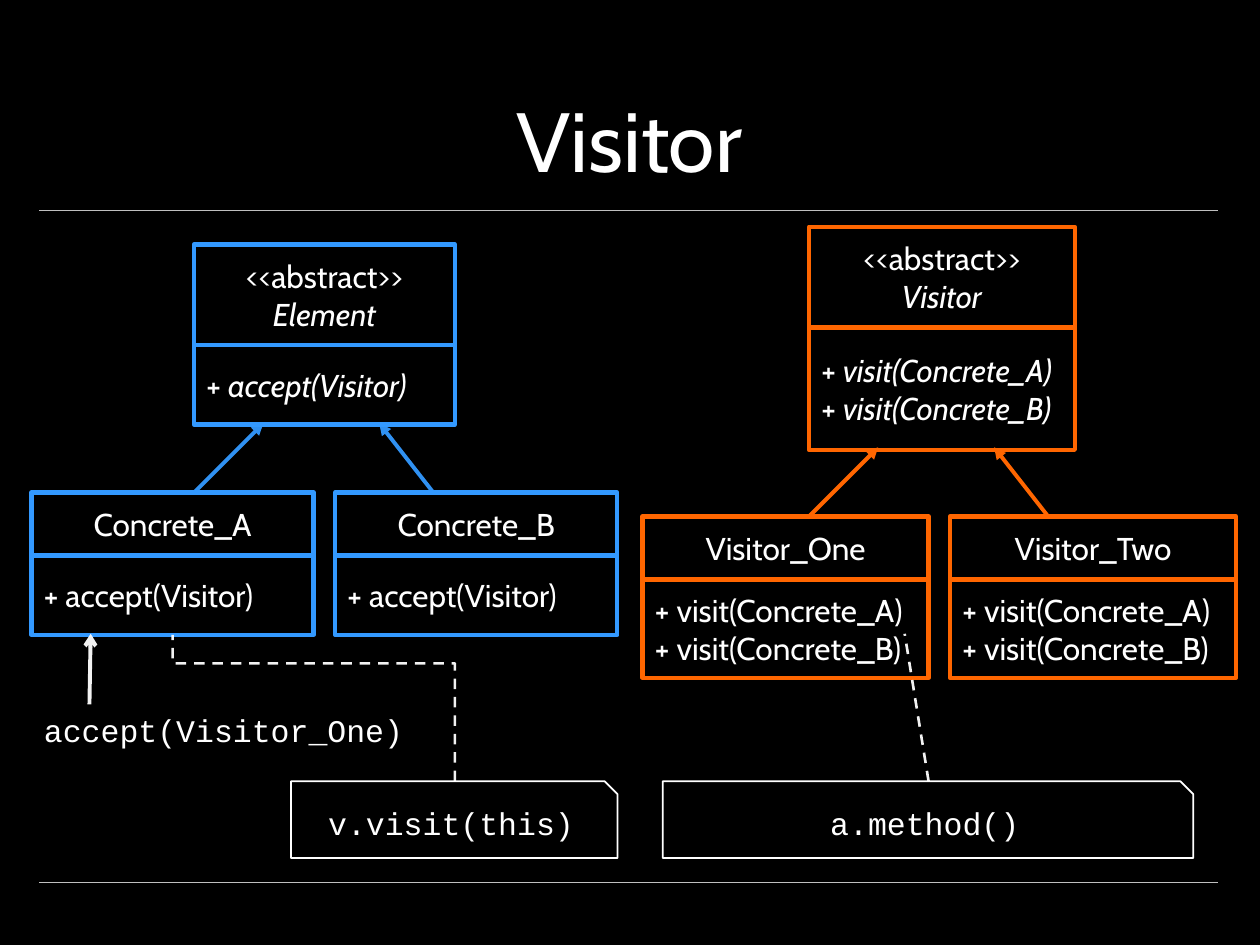
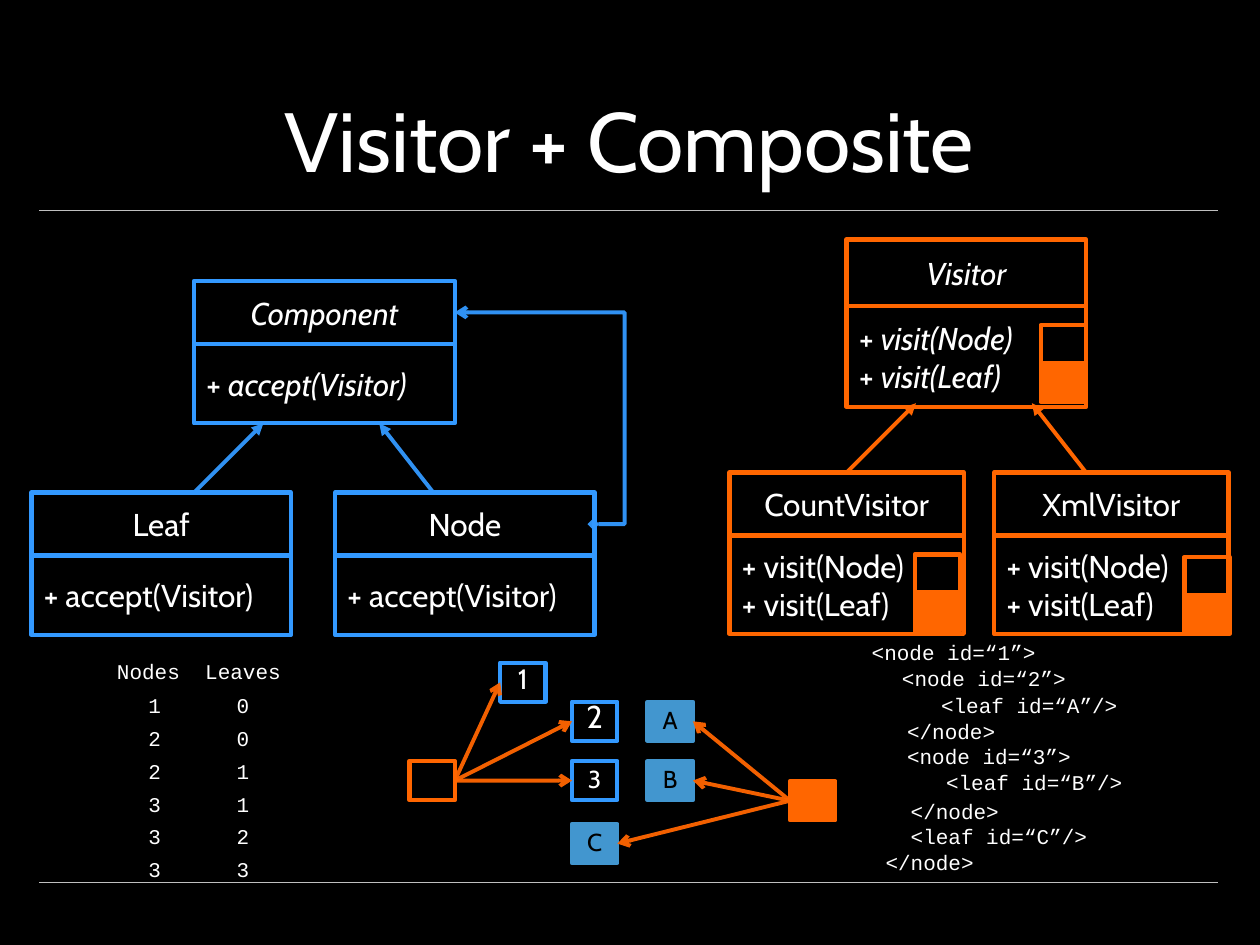
from dataclasses import dataclass

from lxml.etree import SubElement
from pptx import Presentation
from pptx.dml.color import RGBColor
from pptx.enum.dml import MSO_LINE
from pptx.enum.shapes import MSO_CONNECTOR, MSO_SHAPE
from pptx.enum.text import MSO_ANCHOR, MSO_AUTO_SIZE, PP_ALIGN
from pptx.oxml.ns import qn
from pptx.shapes.autoshape import Shape
from pptx.shapes.connector import Connector
from pptx.slide import Slide
from pptx.text.text import TextFrame
from pptx.util import Pt

SCALE = 9144  # EMU in one px, 100 px to the inch
BLACK, WHITE, GREY = "000000", "FFFFFF", "BFBFBF"
BLUE, ORANGE, SKY = "3399FF", "FF6600", "4296CF"
SANS, MONO = "Cabin", "Courier New"
LEFT, TOP, RIGHT = 1, 0, 3
CELL_W, CELL_H, CELL_GAP = 36, 31, 30
TAB = 70


@dataclass(frozen=True)
class Card:
    """A class box: a head above a list of methods."""
    x: int
    y: int
    w: int
    head: str
    body: list[str]
    head_h: int
    body_h: int
    color: str


@dataclass(frozen=True)
class Cell:
    x: int
    y: int
    color: str
    text: str = ""
    size: int = 14
    full: bool = False


@dataclass(frozen=True)
class Code:
    x: int
    y: int
    w: int
    h: int
    lines: list[str]


def px(*sizes: int) -> list[int]:
    return [size * SCALE for size in sizes]


def rgb(color: str) -> RGBColor:
    return RGBColor.from_string(color)


def write(frame: TextFrame, lines: list[str], size: int, font: str = SANS,
          color: str = WHITE, align: PP_ALIGN = PP_ALIGN.LEFT) -> None:
    """Fill a frame; a * starts italics and a vertical tab breaks the line."""
    for i, line in enumerate(lines):
        para = frame.add_paragraph() if i else frame.paragraphs[0]
        para.alignment = align
        if "\t" in line:
            tabs = SubElement(para._p.get_or_add_pPr(), qn("a:tabLst"))
            SubElement(tabs, qn("a:tab"), pos=str(TAB * SCALE), algn="l")
        para.font.size, para.font.name = Pt(size), font
        para.font.color.rgb = rgb(color)
        for style, part in enumerate(line.split("*")):
            for row, text in enumerate(part.split("\v")):
                if row:
                    para.add_line_break()
                if text:
                    run = para.add_run()
                    run.text = text
                    if style:
                        run.font.italic = True


def draw_shape(slide: Slide, x: int, y: int, w: int, h: int, color: str,
               width: float = 2.5, kind: MSO_SHAPE = MSO_SHAPE.RECTANGLE,
               fill: str = "") -> Shape:
    shape = slide.shapes.add_shape(kind, *px(x, y, w, h))
    shape.shadow.inherit = False
    if fill:
        shape.fill.solid()
        shape.fill.fore_color.rgb = rgb(fill)
    else:
        shape.fill.background()
    shape.line.color.rgb = rgb(color)
    shape.line.width = Pt(width)
    shape.text_frame.word_wrap = True
    shape.text_frame.vertical_anchor = MSO_ANCHOR.MIDDLE
    return shape


def draw_line(slide: Slide, start: tuple[int, int], end: tuple[int, int],
              color: str, width: float = 2.25, head: str = "", tail: str = "",
              dash: bool = False, alpha: int = 95, bend: int = 0) -> Connector:
    """Draw a line; a bend, in thousandths of the width, makes an elbow."""
    kind = MSO_CONNECTOR.ELBOW if bend else MSO_CONNECTOR.STRAIGHT
    line = slide.shapes.add_connector(kind, *px(*start, *end))
    line.line.color.rgb = rgb(color)
    line.line.width = Pt(width)
    if dash:
        line.line.dash_style = MSO_LINE.DASH
    props = line._element.spPr
    if alpha < 100:
        tint = props.find(".//" + qn("a:srgbClr"))
        SubElement(tint, qn("a:alpha"), val=str(alpha * 1000))
    for tag, tip in (("a:headEnd", head), ("a:tailEnd", tail)):
        if tip:
            SubElement(props.find(qn("a:ln")), qn(tag), type=tip)
    if bend:
        SubElement(props.find(".//" + qn("a:avLst")), qn("a:gd"),
                   name="adj1", fmla=f"val {bend * 100}")
    SubElement(props, qn("a:effectLst"))
    return line


def draw_card(slide: Slide, card: Card) -> None:
    head = draw_shape(slide, card.x, card.y, card.w, card.head_h, card.color)
    write(head.text_frame, [card.head], 18, align=PP_ALIGN.CENTER)
    body = draw_shape(slide, card.x, card.y + card.head_h, card.w,
                      card.body_h, card.color)
    write(body.text_frame, card.body, 18)


def draw_heirs(slide: Slide, x: int, y: int, color: str, alpha: int = 95) -> None:
    """Draw the two arrows from subclasses up to their parent."""
    for start, end in ((0, 55), (190, 147)):
        draw_line(slide, (x + start, y), (x + end, y - 55), color,
                  tail="triangle", alpha=alpha)


def draw_cell(slide: Slide, cell: Cell) -> Shape:
    shape = draw_shape(slide, cell.x, cell.y, CELL_W, CELL_H, cell.color,
                       fill=cell.color if cell.full else "")
    if cell.text:
        shape.text_frame.vertical_anchor = MSO_ANCHOR.BOTTOM
        write(shape.text_frame, [cell.text], cell.size,
              color=BLACK if cell.full else WHITE, align=PP_ALIGN.CENTER)
    return shape


def draw_code(slide: Slide, code: Code, size: int = 12, wrap: bool = True) -> None:
    box = slide.shapes.add_textbox(*px(code.x, code.y, code.w, code.h))
    box.text_frame.word_wrap = wrap
    box.text_frame.auto_size = MSO_AUTO_SIZE.SHAPE_TO_FIT_TEXT
    write(box.text_frame, code.lines, size, MONO)


def draw_note(slide: Slide, x: int, w: int, text: str) -> None:
    note = draw_shape(slide, x, 620, w, 61, WHITE, 1, MSO_SHAPE.SNIP_1_RECTANGLE)
    write(note.text_frame, [text], 18, MONO, align=PP_ALIGN.CENTER)


def add_slide(deck: Presentation, title: str) -> Slide:
    slide = deck.slides.add_slide(deck.slide_layouts[5])
    for y in (167, 700):
        draw_line(slide, (31, y), (967, y), GREY, 0.25, alpha=100)
    head = slide.shapes.title
    head.left, head.top, head.width, head.height = px(70, 12, 859, 143)
    head.text_frame.vertical_anchor = MSO_ANCHOR.BOTTOM
    write(head.text_frame, [title], 48, align=PP_ALIGN.CENTER)
    return slide


def add_plain(deck: Presentation) -> None:
    slide = add_slide(deck, "Visitor")
    accept = ["+ accept(Visitor)"]
    visits = ["+ visit(Concrete_A)", "+ visit(Concrete_B)"]
    for card in (
        Card(154, 194, 207, "<<abstract>>\v*Element", ["+ *accept(Visitor)"], 80, 63, BLUE),
        Card(25, 391, 224, "Concrete_A", accept, 50, 63, BLUE),
        Card(266, 391, 224, "Concrete_B", accept, 50, 63, BLUE),
        Card(642, 180, 211, "<<abstract>>\v*Visitor",
             ["+ *visit(Concrete_A)", "+ *visit(Concrete_B)"], 80, 97, ORANGE),
        Card(510, 410, 227, "Visitor_One", visits, 50, 78, ORANGE),
        Card(754, 410, 227, "Visitor_Two", visits, 50, 78, ORANGE),
    ):
        draw_card(slide, card)
    draw_heirs(slide, 154, 391, BLUE)
    draw_heirs(slide, 642, 410, ORANGE, 100)

    draw_note(slide, 231, 259, "v.visit(this)")
    link = draw_line(slide, (191, 674), (307, 450), WHITE, 1.5, dash=True, bend=806)
    link._element.spPr.find(qn("a:xfrm")).set("rot", str(270 * 60000))
    draw_note(slide, 526, 421, "a.method()")
    draw_line(slide, (737, 620), (718, 503), WHITE, 1.5, dash=True)

    draw_code(slide, Code(25, 559, 309, 40, ["accept(Visitor_One)"]), 18, False)
    draw_line(slide, (71, 559), (72, 503), WHITE, tail="arrow")


def add_mixed(deck: Presentation) -> None:
    slide = add_slide(deck, "Visitor + Composite")
    accept = ["+ accept(Visitor)"]
    visits = ["+ visit(Node)", "+ visit(Leaf)"]
    for card in (
        Card(154, 223, 207, "*Component", ["+ *accept(Visitor)"], 50, 63, BLUE),
        Card(25, 391, 206, "Leaf", accept, 50, 63, BLUE),
        Card(266, 391, 206, "Node", accept, 50, 63, BLUE),
        Card(672, 190, 190, "*Visitor", ["+ *visit(Node)", "+ *visit(Leaf)"], 53, 80, ORANGE),
        Card(579, 375, 186, "CountVisitor", visits, 50, 78, ORANGE),
        Card(789, 375, 186, "XmlVisitor", visits, 50, 78, ORANGE),
    ):
        draw_card(slide, card)
    draw_heirs(slide, 154, 391, BLUE)
    draw_heirs(slide, 672, 375, ORANGE, 100)
    draw_line(slide, (471, 416), (361, 248), BLUE, head="diamond",
              tail="arrow", bend=-226)

    nodes = [Cell(397, 526, BLUE, "1", 16), Cell(454, 557, BLUE, "2", 18),
             Cell(454, 604, BLUE, "3")]
    leaves = [Cell(514, 557, SKY, "A", full=True), Cell(514, 604, SKY, "B", full=True),
              Cell(454, 654, SKY, "C", full=True)]
    for hub, cells, out, into in (
        (Cell(325, 604, ORANGE), nodes, RIGHT, LEFT),
        (Cell(627, 620, ORANGE, full=True), leaves, LEFT, RIGHT),
    ):
        source = draw_cell(slide, hub)
        for cell in cells:
            target = draw_cell(slide, cell)
            arrow = draw_line(slide, (hub.x, hub.y), (cell.x, cell.y), ORANGE, tail="arrow")
            arrow.begin_connect(source, out)
            arrow.end_connect(target, into)

    draw_code(slide, Code(83, 518, 181, 30, ["Nodes\tLeaves"]))
    counts = [(1, 0), (2, 0), (2, 1), (3, 1), (3, 2), (3, 3)]
    for i, (node, leaf) in enumerate(counts):
        draw_code(slide, Code(108, 545 + 26 * i, 101, 30, [f"{node}\t{leaf}"]))
    for code in (
        Code(682, 503, 176, 30, ["<node id=“1”>"]),
        Code(706, 523, 168, 30, ["<node id=“2”>"]),
        Code(737, 545, 171, 30, ["<leaf id=“A”/>"]),
        Code(710, 565, 182, 50, ["</node>\v<node id=“3”>"]),
        Code(741, 606, 168, 30, ["<leaf id=“B”/>"]),
        Code(693, 629, 200, 71, ["  </node>\v  <leaf id=“C”/>", "</node>"]),
    ):
        draw_code(slide, code)

    for x, y in ((826, 258), (726, 440), (940, 442)):
        draw_cell(slide, Cell(x, y, ORANGE))
        draw_cell(slide, Cell(x, y + CELL_GAP, ORANGE, full=True))


def main() -> None:
    deck = Presentation()
    deck.slide_width, deck.slide_height = px(1000, 750)
    back = deck.slide_master.background.fill
    back.solid()
    back.fore_color.rgb = rgb(BLACK)
    add_plain(deck)
    add_mixed(deck)
    deck.save("out.pptx")


if __name__ == "__main__":
    main()
